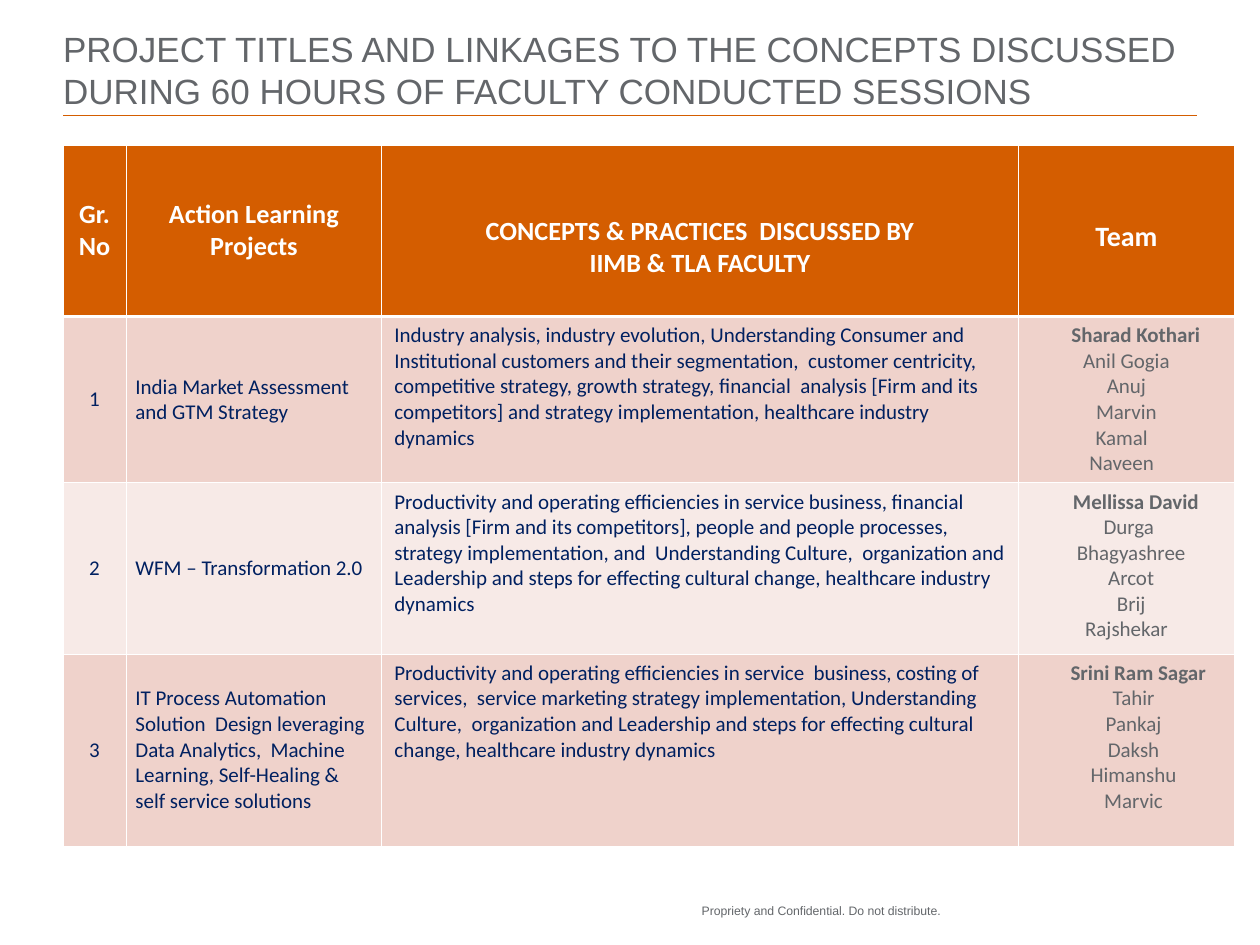
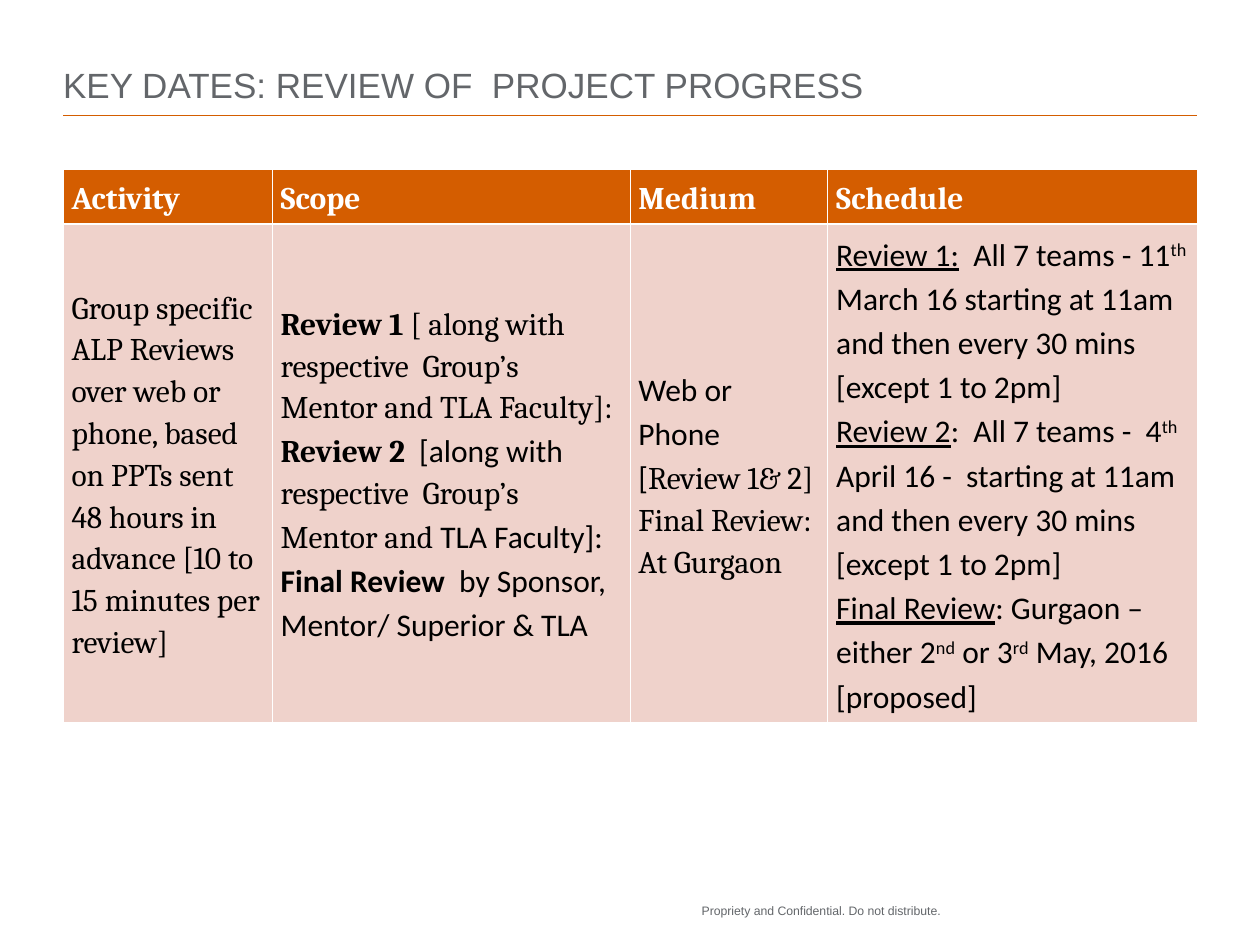
from lxml import etree
from pptx import Presentation
from pptx.dml.color import RGBColor
from pptx.enum.shapes import MSO_CONNECTOR
from pptx.enum.text import MSO_ANCHOR, MSO_AUTO_SIZE, PP_ALIGN
from pptx.oxml.ns import qn
from pptx.util import Pt

STRAIGHT = MSO_CONNECTOR.STRAIGHT
TOP, MIDDLE, BOTTOM = MSO_ANCHOR.TOP, MSO_ANCHOR.MIDDLE, MSO_ANCHOR.BOTTOM
LEFT, CENTER = PP_ALIGN.LEFT, PP_ALIGN.CENTER
NO_AUTOFIT = MSO_AUTO_SIZE.NONE

COLORS = {
    "accent": "D45D00", "gray": "63666A", "white": "FFFFFF",
    "navy": "002060", "black": "000000", "band": "EFD2CB", "light": "F7EAE7",
}
LEFT_EDGE = 36
THIN, THICK = 0.45, 1.47
SPACE_WIDTH = 0.226

FOOTER = "Propriety and Confidential. Do not distribute."
PROJECTS_TITLE = ("PROJECT TITLES AND LINKAGES TO THE CONCEPTS DISCUSSED "
                  "DURING 60 HOURS OF FACULTY CONDUCTED SESSIONS")
DATES_TITLE = "KEY DATES: REVIEW OF  PROJECT PROGRESS"

PROJECT_HEADERS = [
    ["Gr. No"],
    ["Action Learning Projects"],
    ["CONCEPTS & PRACTICES  DISCUSSED BY", "IIMB & TLA FACULTY"],
    ["Team"],
]
PROJECTS = [
    ("India Market Assessment and GTM Strategy",
     "Industry analysis, industry evolution, Understanding Consumer and Institutional "
     "customers and their segmentation,  customer centricity, competitive strategy, "
     "growth strategy, financial  analysis [Firm and its competitors] and strategy "
     "implementation, healthcare industry dynamics",
     [("Sharad Kothari", 4), ("Anil Gogia", 0), ("Anuj", 0), ("Marvin", 0),
      ("Kamal", -2), ("Naveen", 0)]),
    ("WFM – Transformation 2.0",
     "Productivity and operating efficiencies in service business, financial analysis "
     "[Firm and its competitors], people and people processes, strategy implementation, "
     "and  Understanding Culture,  organization and Leadership and steps for effecting "
     "cultural change, healthcare industry dynamics",
     [("Mellissa David", 4), ("Durga", 1), ("Bhagyashree", 2), ("Arcot", 2),
      ("Brij", 2), ("Rajshekar", 0)]),
    ("IT Process Automation Solution  Design leveraging Data Analytics,  Machine "
     "Learning, Self-Healing & self service solutions",
     "Productivity and operating efficiencies in service  business, costing of services,  "
     "service marketing strategy implementation, Understanding Culture,  organization "
     "and Leadership and steps for effecting cultural change, healthcare industry dynamics",
     [("Srini Ram Sagar", 5), ("Tahir", 3), ("Pankaj", 3), ("Daksh", 3),
      ("Himanshu", 3), ("Marvic", 3)]),
]
PROJECT_COLUMNS = [36, 146.2, 363.6, 123.8]
PROJECT_ROWS = [97.9, 95, 97.9, 109.7]

DATE_HEADERS = ["Activity", "Scope", "Medium", "Schedule"]
PLAIN, BOLD = ("Cambria", ""), ("Cambria", "bold")
SANS, SANS_BOLD = ("Calibri", ""), ("Calibri", "bold")
UNDERLINED, RAISED = ("Calibri", "underline"), ("Calibri", "raised")
REVIEWS = [
    [[("Group specific ALP Reviews over web or phone, based on PPTs sent 48 hours "
       "in advance [10 to 15 minutes per review]", PLAIN)]],
    [[("Review 1", BOLD), (" [ along with respective  Group’s Mentor and TLA Faculty]:", PLAIN)],
     [("Review 2 ", BOLD), (" [along with ", SANS),
      ("respective  Group’s Mentor and ", PLAIN), ("TLA Faculty]:", SANS)],
     [("Final Review", SANS_BOLD), ("  by Sponsor, Mentor/ Superior & TLA", SANS)]],
    [[("Web or Phone [", SANS), ("Review 1& 2]", PLAIN)],
     [("Final Review: At Gurgaon", PLAIN)]],
    [[("Review 1:", UNDERLINED), ("  All 7 teams - 11", SANS), ("th", RAISED),
      (" March 16 starting at 11am and then every 30 mins [except 1 to 2pm]", SANS)],
     [("Review 2", UNDERLINED), (":  All 7 teams -  4", SANS), ("th", RAISED),
      (" April 16 -  starting at 11am and then every 30 mins [except 1 to 2pm]", SANS)],
     [("Final Review", UNDERLINED), (": Gurgaon – either 2", SANS), ("nd", RAISED),
      (" or 3", SANS), ("rd", RAISED), (" May, 2016 [proposed]", SANS)]],
]
DATE_COLUMNS = [119.5, 204.5, 113, 211]
DATE_ROWS = [31.5, 284.5]


def color(name):
    return RGBColor.from_string(COLORS[name])


def style_font(font, name, size, tone, bold=False):
    font.name, font.size, font.bold = name, Pt(size), bold
    font.color.rgb = color(tone)


def clear_margins(frame):
    frame.margin_left = frame.margin_right = frame.margin_top = frame.margin_bottom = 0


def add_slide(presentation, title, top, height):
    slide = presentation.slides.add_slide(presentation.slide_layouts[5])
    rule = slide.shapes.add_connector(STRAIGHT, Pt(LEFT_EDGE), Pt(66), Pt(684), Pt(66))
    rule.line.color.rgb, rule.line.width = color("accent"), Pt(1)
    etree.SubElement(rule._element.spPr, qn("a:effectLst"))

    footer = slide.shapes.add_textbox(Pt(401), Pt(516.2), Pt(150), Pt(18))
    heading = slide.shapes.title
    heading.left, heading.top, heading.width, heading.height = (
        Pt(value) for value in (LEFT_EDGE, top, 648, height))
    for shape, text, size in ((footer, FOOTER, 7), (heading, title, 20)):
        frame = shape.text_frame
        frame.text = text
        clear_margins(frame)
        frame.auto_size = NO_AUTOFIT
        frame.paragraphs[0].alignment = LEFT
        style_font(frame.paragraphs[0].font, "Arial", size, "gray")
    footer.text_frame.word_wrap = False
    heading.text_frame.vertical_anchor = BOTTOM
    return slide


def set_borders(cell, row):
    widths = {"lnL": THIN, "lnR": THIN, "lnT": THICK if row == 1 else THIN,
              "lnB": THICK if row == 0 else THIN}
    for tag, width in widths.items():
        line = etree.SubElement(cell._tc.get_or_add_tcPr(), qn("a:" + tag), w=str(Pt(width)))
        fill = etree.SubElement(line, qn("a:solidFill"))
        etree.SubElement(fill, qn("a:srgbClr"), val=COLORS["white"])


def add_table(slide, top, columns, rows):
    table = slide.shapes.add_table(len(rows), len(columns), Pt(LEFT_EDGE), Pt(top),
                                   Pt(sum(columns)), Pt(sum(rows))).table
    for column, width in zip(table.columns, columns):
        column.width = Pt(width)
    for index, (row, height) in enumerate(zip(table.rows, rows)):
        row.height = Pt(height)
        for cell in row.cells:
            set_borders(cell, index)
            cell.fill.solid()
            cell.fill.fore_color.rgb = color(
                "accent" if index == 0 else "band" if index % 2 else "light")
    return table


def place_text(cell, anchor, side, top=3.6):
    cell.vertical_anchor = anchor
    cell.margin_left = cell.margin_right = Pt(side)
    cell.margin_top, cell.margin_bottom = Pt(top), Pt(3.6)


def add_paragraphs(cell, count):
    frame = cell.text_frame
    for _ in range(count - 1):
        frame.add_paragraph()
    return frame.paragraphs


def write_lines(cell, lines, size, tone, bold=False, alignment=LEFT):
    for paragraph, line in zip(add_paragraphs(cell, len(lines)), lines):
        paragraph.text, paragraph.alignment = line, alignment
        style_font(paragraph.font, "Calibri", size, tone, bold)


def write_team(cell, members):
    write_lines(cell, [name for name, _ in members], 12, "gray", alignment=CENTER)
    for paragraph, (_, spaces) in zip(cell.text_frame.paragraphs, members):
        side = "marL" if spaces >= 0 else "marR"
        paragraph._p.get_or_add_pPr().set(side, str(Pt(abs(spaces) * 12 * SPACE_WIDTH)))
    cell.text_frame.paragraphs[0].font.bold = True


def write_runs(cell, paragraphs):
    for paragraph, parts in zip(add_paragraphs(cell, len(paragraphs)), paragraphs):
        paragraph.line_spacing = 1.15
        style_font(paragraph.font, parts[0][1][0], 18, "black")
        for text, (name, effect) in parts:
            run = paragraph.add_run()
            run.text = text
            run.font.name = name
            run.font.bold = effect == "bold"
            run.font.underline = effect == "underline"
            if effect == "raised":
                run._r.get_or_add_rPr().set("baseline", "30000")


def build_projects(presentation):
    slide = add_slide(presentation, PROJECTS_TITLE, -26, 90)
    table = add_table(slide, 83, PROJECT_COLUMNS, PROJECT_ROWS)
    placements = [(MIDDLE, 5.4, 3.6), (MIDDLE, 5.4, 3.6), (TOP, 7.2, 40.2), (TOP, 7.2, 42.6)]
    for column, lines in enumerate(PROJECT_HEADERS):
        cell = table.cell(0, column)
        place_text(cell, *placements[column])
        write_lines(cell, lines, 16 if column == 3 else 15, "white", True, CENTER)
    for row, (project, concepts, team) in enumerate(PROJECTS, 1):
        for column, (anchor, side, _) in enumerate(placements):
            place_text(table.cell(row, column), anchor, side)
        write_lines(table.cell(row, 0), [str(row)], 12, "navy", alignment=CENTER)
        write_lines(table.cell(row, 1), [project], 12, "navy")
        write_lines(table.cell(row, 2), [concepts], 12, "navy")
        write_team(table.cell(row, 3), team)


def build_dates(presentation):
    slide = add_slide(presentation, DATES_TITLE, 12.2, 48.3)
    table = add_table(slide, 96.5, DATE_COLUMNS, DATE_ROWS)
    for column, (header, review) in enumerate(zip(DATE_HEADERS, REVIEWS)):
        for row in range(2):
            place_text(table.cell(row, column), MIDDLE, 4.9)
        cell = table.cell(0, column)
        write_lines(cell, [header], 18, "white", True)
        paragraph = cell.text_frame.paragraphs[0]
        paragraph.font.name, paragraph.line_spacing = "Cambria", 1.15
        write_runs(table.cell(1, column), review)


def main():
    presentation = Presentation()
    presentation.slide_width, presentation.slide_height = Pt(720), Pt(540)
    build_projects(presentation)
    build_dates(presentation)
    presentation.save("out.pptx")


if __name__ == "__main__":
    main()
